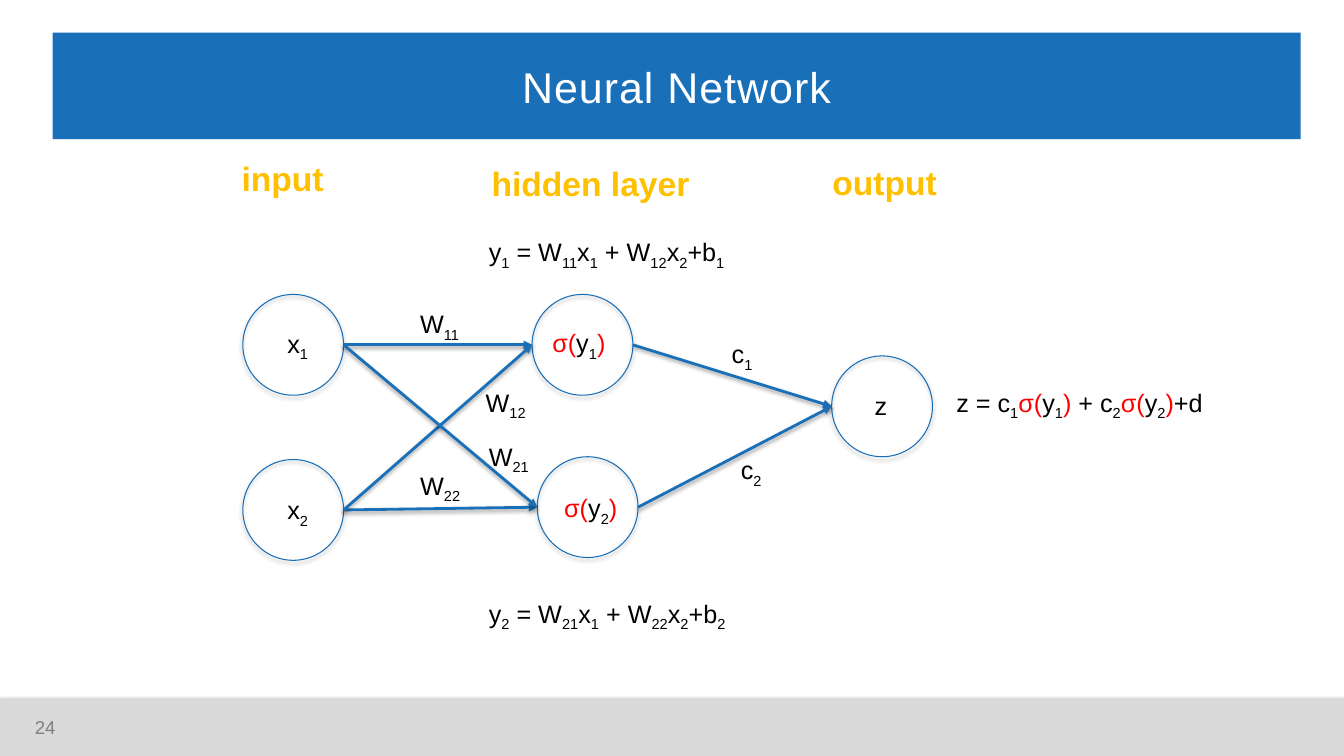
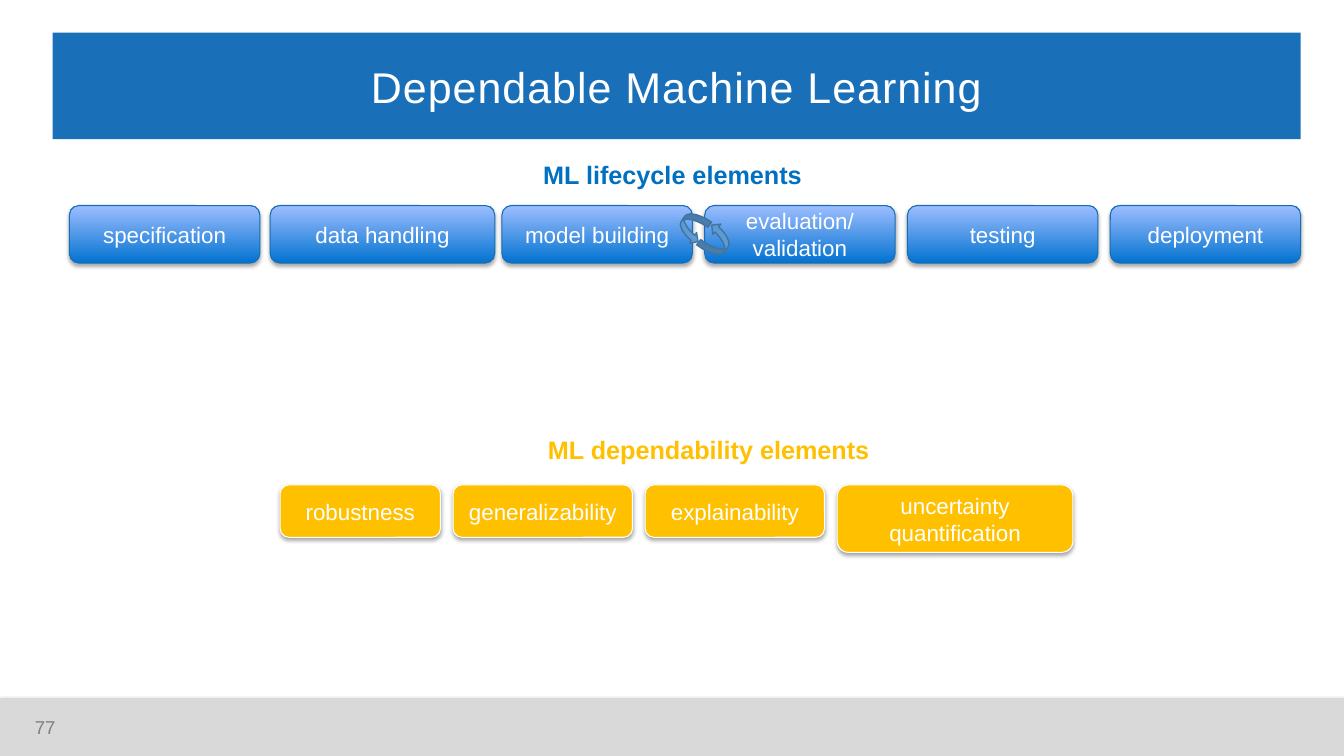
import itertools

import pptx
import pptx.dml.color
import pptx.enum.shapes
import pptx.enum.text
import pptx.oxml.ns
import pptx.util
from lxml import etree

Cm = pptx.util.Cm
Pt = pptx.util.Pt
RGBColor = pptx.dml.color.RGBColor
SHAPE = pptx.enum.shapes.MSO_SHAPE
STRAIGHT = pptx.enum.shapes.MSO_CONNECTOR.STRAIGHT
ALIGN = pptx.enum.text.PP_ALIGN
MIDDLE = pptx.enum.text.MSO_ANCHOR.MIDDLE
qn = pptx.oxml.ns.qn

WHITE = RGBColor(0xFF, 0xFF, 0xFF)
BLACK = RGBColor(0x00, 0x00, 0x00)
RED = RGBColor(0xFF, 0x00, 0x00)
GOLD = RGBColor(0xFF, 0xC0, 0x00)
TITLE_BLUE = RGBColor(0x1A, 0x70, 0xB8)
OUTLINE_BLUE = RGBColor(0x16, 0x6E, 0xB8)
HEADING_BLUE = RGBColor(0x00, 0x70, 0xC0)
DEEP_BLUE = RGBColor(0x02, 0x72, 0xD0)
PALE_BLUE = RGBColor(0x9D, 0xBE, 0xFF)
CYCLE_BLUE = RGBColor(0x5B, 0x9B, 0xD5)
CYCLE_EDGE = RGBColor(0x43, 0x73, 0x9E)
BAND_GREY = RGBColor(0xD9, 0xD9, 0xD9)
NUMBER_GREY = RGBColor(0x80, 0x80, 0x80)

FONT = "Arial"
SLIDE_WIDTH, SLIDE_HEIGHT = 33.87, 19.05
NODE_SIZE = 2.54
TILE_TOP = 5.18

NODES = {
    "x1": (6.12, 7.42),
    "x2": (6.12, 11.58),
    "y1": (13.41, 7.42),
    "y2": (13.54, 11.51),
    "z": (20.96, 8.97),
}
LINKS = [("x1", "y1"), ("x2", "y2"), ("x2", "y1"), ("x1", "y2"),
         ("y1", "z"), ("y2", "z")]
FORMULAS = [
    ("y1 = W11x1 + W12x2+b1", 12.07, 5.84, 6.99),
    ("y2 = W21x1 + W22x2+b2", 12.07, 14.94, 6.99),
    ("z = c1σ(y1) + c2σ(y2)+d", 23.85, 9.63, 8.18),
    ("x1", 6.99, 8.15, 1.22),
    ("x2", 6.99, 12.34, 1.22),
    ("σ(y1)", 13.67, 8.13, 2.16),
    ("σ(y2)", 13.97, 12.29, 2.01),
    ("z", 21.79, 9.7, 1.22),
    ("W11", 10.34, 7.65, 1.83),
    ("W12", 11.99, 9.63, 1.83),
    ("W21", 12.07, 11, 1.83),
    ("W22", 10.34, 11.73, 1.83),
    ("c1", 18.19, 8.41, 1.3),
    ("c2", 18.42, 11.33, 1.3),
]
LAYER_HEADINGS = [("input", 5.84, 3.86), ("hidden layer", 12.14, 3.99),
                  ("output", 20.73, 3.96)]

EARLY_STAGES = [("specification", 1.75, 4.8), ("data handling", 6.81, 5.66)]
LATER_STAGES = ["model building", "evaluation/\nvalidation", "testing", "deployment"]
QUALITIES = [("robustness", 4.04, 1.32), ("generalizability", 4.52, 1.32),
             ("explainability", 4.52, 1.32),
             ("uncertainty quantification", 5.94, 1.7)]
CYCLE_ARROWS = [
    (SHAPE.CURVED_RIGHT_ARROW, (17.73, 5.66, 0.66, 0.79), 217.5),
    (SHAPE.CURVED_UP_ARROW, (17.07, 5.41, 0.76, 0.64), 124.4),
]


def cast_shadow(drawn, opacity=35, distance=1.8):
    effects = etree.SubElement(drawn._element.spPr, qn("a:effectLst"))
    shadow = etree.SubElement(effects, qn("a:outerShdw"), blurRad=str(Pt(3.1)),
                              dist=str(Pt(distance)), dir="5400000",
                              rotWithShape="0")
    colour = etree.SubElement(shadow, qn("a:srgbClr"), val=str(BLACK))
    etree.SubElement(colour, qn("a:alpha"), val=str(opacity * 1000))


def style_font(font, size, colour, bold=False):
    font.name = FONT
    font.size = Pt(size)
    font.color.rgb = colour
    font.bold = bold


def write_text(frame, text, size, colour, bold=False, align=ALIGN.LEFT):
    frame.word_wrap = True
    frame.text = text
    for paragraph in frame.paragraphs:
        paragraph.alignment = align
        for run in paragraph.runs:
            style_font(run.font, size, colour, bold)


def add_block(slide, kind, box, fill=None, edge=None, edge_width=0.75, shadow=True):
    block = slide.shapes.add_shape(kind, *map(Cm, box))
    if fill is None:
        block.fill.background()
    elif isinstance(fill, RGBColor):
        block.fill.solid()
        block.fill.fore_color.rgb = fill
    else:
        block.fill.gradient()
        block.fill.gradient_angle = 90
        for stop, colour in zip(block.fill.gradient_stops, fill):
            stop.color.rgb = colour
    if edge is None:
        block.line.fill.background()
    else:
        block.line.color.rgb = edge
        block.line.width = Pt(edge_width)
    if shadow:
        cast_shadow(block)
    else:
        block.shadow.inherit = False
    return block


def add_label(slide, text, box, size, colour, bold=False):
    label = slide.shapes.add_textbox(*map(Cm, box))
    write_text(label.text_frame, text, size, colour, bold)
    return label


def add_formula(slide, formula, left, top, width):
    frame = slide.shapes.add_textbox(Cm(left), Cm(top), Cm(width), Cm(1.02)).text_frame
    frame.word_wrap = True
    pieces = itertools.groupby(formula, lambda sign: (sign.isdigit(), sign in "σ()"))
    for (is_subscript, is_sigma), signs in pieces:
        run = frame.paragraphs[0].add_run()
        run.text = "".join(signs)
        style_font(run.font, 18, RED if is_sigma else BLACK)
        if is_subscript:
            run._r.get_or_add_rPr().set("baseline", "-25000")


def add_link(slide, source, target):
    (from_left, from_top), (to_left, to_top) = NODES[source], NODES[target]
    radius = NODE_SIZE / 2
    link = slide.shapes.add_connector(
        STRAIGHT, Cm(from_left + NODE_SIZE), Cm(from_top + radius),
        Cm(to_left), Cm(to_top + radius))
    link.line.color.rgb = TITLE_BLUE
    link.line.width = Pt(2)
    etree.SubElement(link._element.spPr.find(qn("a:ln")), qn("a:tailEnd"),
                     type="triangle")
    cast_shadow(link, 38, 1.6)


def add_tile(slide, text, box, fill, edge):
    tile = add_block(slide, SHAPE.ROUNDED_RECTANGLE, box, fill, edge)
    tile.text_frame.vertical_anchor = MIDDLE
    write_text(tile.text_frame, text, 16, WHITE, align=ALIGN.CENTER)


def add_stage(slide, text, left, width):
    add_tile(slide, text, (left, TILE_TOP, width, 1.45),
             (DEEP_BLUE, PALE_BLUE), OUTLINE_BLUE)


def start_slide(deck, title, number):
    slide = deck.slides.add_slide(deck.slide_layouts[6])
    add_block(slide, SHAPE.RECTANGLE, (0, 17.6, SLIDE_WIDTH, 1.45),
              BAND_GREY, BAND_GREY)
    banner = add_block(slide, SHAPE.RECTANGLE, (1.33, 0.82, 31.45, 2.69),
                       TITLE_BLUE, shadow=False)
    banner.text_frame.vertical_anchor = MIDDLE
    write_text(banner.text_frame, title, 30.7, WHITE, align=ALIGN.CENTER)
    banner.text_frame.paragraphs[0].runs[0]._r.get_or_add_rPr().set("spc", "70")
    page = add_label(slide, number, (0.88, 17.8, 1.5, 1.02), 13.3, NUMBER_GREY).text_frame
    page.margin_left = page.margin_right = page.margin_top = page.margin_bottom = 0
    page.vertical_anchor = MIDDLE
    return slide


def build_network(deck):
    slide = start_slide(deck, "Neural Network", "24")
    for left, top in NODES.values():
        add_block(slide, SHAPE.OVAL, (left, top, NODE_SIZE, NODE_SIZE),
                  edge=OUTLINE_BLUE)
    for source, target in LINKS:
        add_link(slide, source, target)
    for formula in FORMULAS:
        add_formula(slide, *formula)
    for heading, left, top in LAYER_HEADINGS:
        add_label(slide, heading, (left, top, 6, 1.27), 24, GOLD, bold=True)


def build_dependability(deck):
    slide = start_slide(deck, "Dependable Machine Learning", "77")
    add_label(slide, "ML lifecycle elements", (13.44, 3.89, 7.5, 1.02),
              18, HEADING_BLUE, bold=True)
    for stage in EARLY_STAGES:
        add_stage(slide, *stage)
    for position, stage in enumerate(LATER_STAGES):
        add_stage(slide, stage, 12.65 + 5.11 * position, 4.8)
    for kind, box, turn in CYCLE_ARROWS:
        arrow = add_block(slide, kind, box, CYCLE_BLUE, CYCLE_EDGE, 1, shadow=False)
        arrow.rotation = turn

    add_label(slide, "ML dependability elements", (13.56, 10.82, 9.2, 1.02),
              18, GOLD, bold=True)
    left = 7.06
    for quality, width, height in QUALITIES:
        add_tile(slide, quality, (left, 12.22, width, height), GOLD, WHITE)
        left += width + 0.32


def main():
    deck = pptx.Presentation()
    deck.slide_width = Cm(SLIDE_WIDTH)
    deck.slide_height = Cm(SLIDE_HEIGHT)
    build_network(deck)
    build_dependability(deck)
    deck.save("out.pptx")


if __name__ == "__main__":
    main()
